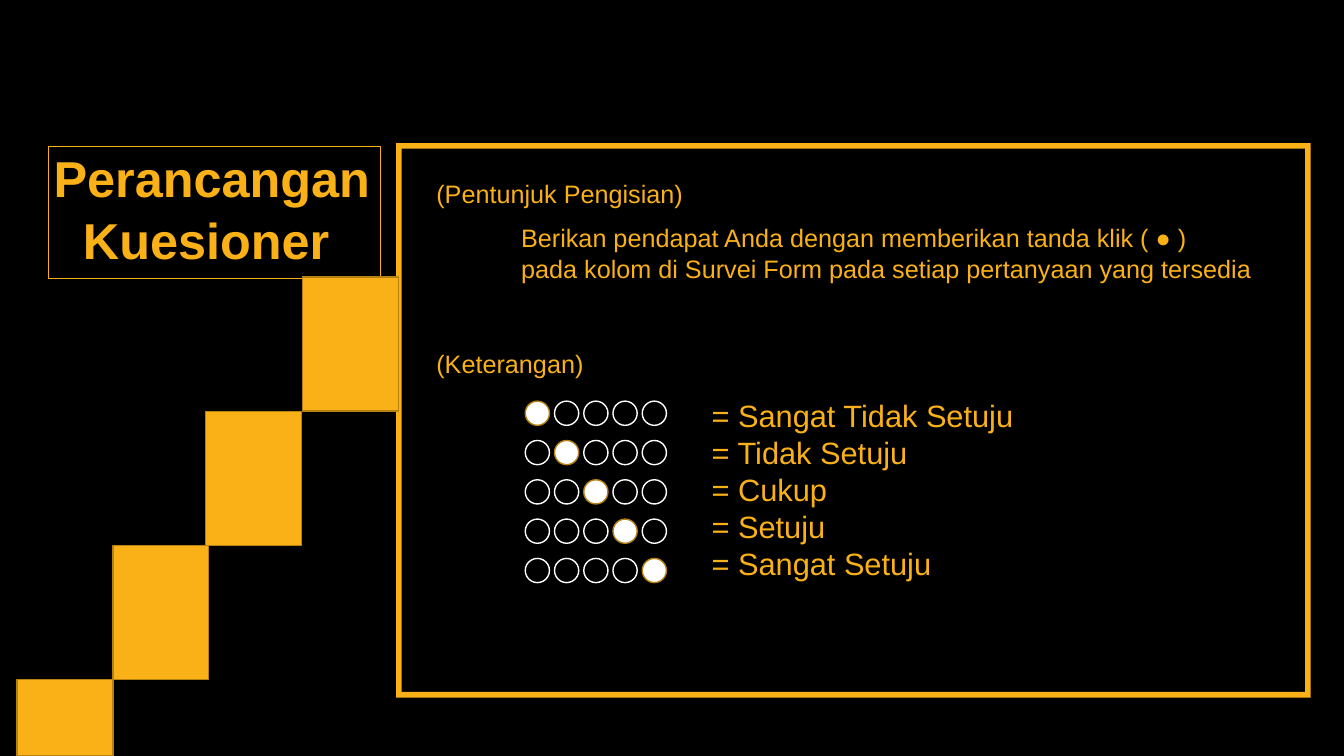
from dataclasses import dataclass

from pptx import Presentation
from pptx.dml.color import RGBColor
from pptx.enum.shapes import MSO_SHAPE
from pptx.enum.text import MSO_ANCHOR, PP_ALIGN
from pptx.util import Inches, Pt


@dataclass(frozen=True)
class Theme:
    background: RGBColor = RGBColor(0x00, 0x00, 0x00)
    accent: RGBColor = RGBColor(0xFA, 0xB1, 0x17)
    edge: RGBColor = RGBColor(0xB6, 0x81, 0x10)
    dot: RGBColor = RGBColor(0xFF, 0xFF, 0xFF)
    font: str = "Arial"
    title_size: int = 36
    body_size: int = 18
    legend_size: int = 22


THEME = Theme()
SLIDE_WIDTH, SLIDE_HEIGHT = 13.33, 7.5
ANSWERS = ["Sangat Tidak Setuju", "Tidak Setuju", "Cukup", "Setuju", "Sangat Setuju"]
INSTRUCTIONS = [
    "Berikan pendapat Anda dengan memberikan tanda klik ( ● )",
    "pada kolom di Survei Form pada setiap pertanyaan yang tersedia",
]


def add_shape(page, kind, box, fill=None, line=None, weight=1):
    shape = page.shapes.add_shape(kind, *(Inches(length) for length in box))
    shape.shadow.inherit = False
    if fill is None:
        shape.fill.background()
    else:
        shape.fill.solid()
        shape.fill.fore_color.rgb = fill
    if line is None:
        shape.line.fill.background()
    else:
        shape.line.color.rgb = line
        shape.line.width = Pt(weight)
    return shape


def add_text(page, box, lines, size, bold=False):
    text_box = page.shapes.add_textbox(*(Inches(length) for length in box))
    frame = text_box.text_frame
    frame.word_wrap = True
    frame.text = "\n".join(lines)
    for para in frame.paragraphs:
        for span in para.runs:
            span.font.name = THEME.font
            span.font.size = Pt(size)
            span.font.bold = bold
            span.font.color.rgb = THEME.accent
    return frame


def add_title(page, box):
    left, top, width, height = box
    add_shape(page, MSO_SHAPE.RECTANGLE, box, line=THEME.accent, weight=0.75)
    text_area = (left - 0.16, top - 0.05, width + 0.16, height)
    frame = add_text(page, text_area, ["Perancangan", "Kuesioner"], THEME.title_size, bold=True)
    frame.vertical_anchor = MSO_ANCHOR.MIDDLE
    for para, alignment in zip(frame.paragraphs, (PP_ALIGN.RIGHT, PP_ALIGN.CENTER)):
        para.alignment = alignment
        para.line_spacing = 1.04


def add_answer_grid(page, left, top):
    diameter, column_step, row_step = 0.24, 0.29, 0.39
    count = len(ANSWERS)
    for row in range(count):
        for column in range(count):
            box = (left + column * column_step, top + row * row_step, diameter, diameter)
            chosen = row == column
            add_shape(page, MSO_SHAPE.OVAL, box,
                      fill=THEME.dot if chosen else None,
                      line=THEME.edge if chosen else THEME.dot)


def add_panel(page, box):
    left, top, width, height = box
    border = add_shape(page, MSO_SHAPE.FRAME, box, fill=THEME.accent)
    border.adjustments[0] = 0.01
    heading_left = left + 0.3
    add_text(page, (heading_left, top + 0.3, 2.67, 0.4), ["(Pentunjuk Pengisian)"], THEME.body_size)
    add_text(page, (left + 1.14, top + 0.74, 7.68, 0.71), INSTRUCTIONS, THEME.body_size)
    add_text(page, (heading_left, top + 1.99, 1.67, 0.4), ["(Keterangan)"], THEME.body_size)
    add_answer_grid(page, left + 1.28, top + 2.56)
    legend = [f"= {answer}" for answer in ANSWERS]
    add_text(page, (left + 3.03, top + 2.47, 3.63, 1.95), legend, THEME.legend_size)


def add_staircase(page, top):
    step_width, step_height = 0.95, 1.33
    for index, left in enumerate((3, 2.04, 1.12, 0.17)):
        step_top = top + index * step_height
        box = (left, step_top, step_width, min(step_height, SLIDE_HEIGHT - step_top))
        add_shape(page, MSO_SHAPE.RECTANGLE, box, fill=THEME.accent, line=THEME.edge)


def build_questionnaire_slide(deck):
    page = deck.slides.add_slide(deck.slide_layouts[6])
    page.background.fill.solid()
    page.background.fill.fore_color.rgb = THEME.background
    add_panel(page, (3.93, 1.42, 9.07, 5.5))
    add_title(page, (0.48, 1.45, 3.29, 1.31))
    add_staircase(page, 2.75)


def main():
    deck = Presentation()
    deck.slide_width = Inches(SLIDE_WIDTH)
    deck.slide_height = Inches(SLIDE_HEIGHT)
    build_questionnaire_slide(deck)
    deck.save("out.pptx")


if __name__ == "__main__":
    main()
